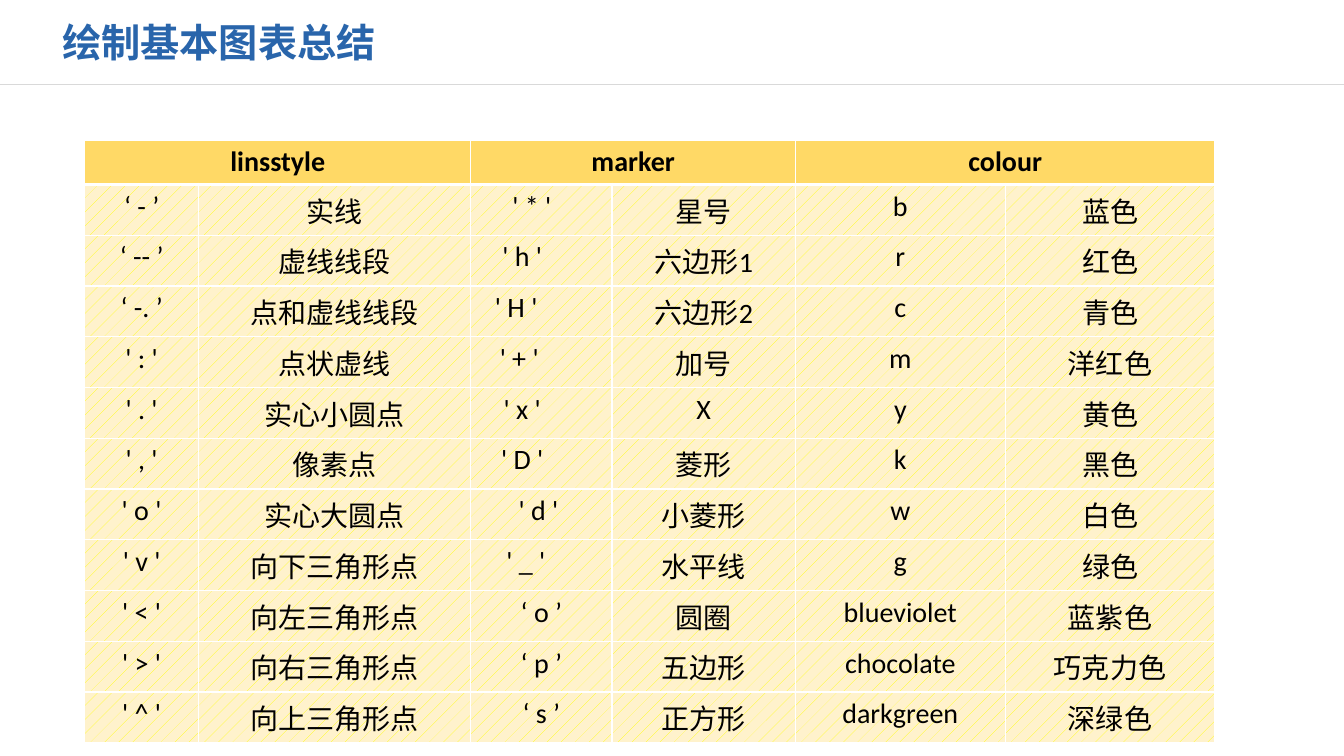
from dataclasses import dataclass

from lxml import etree
from pptx import Presentation
from pptx import util as u
from pptx.dml.color import RGBColor
from pptx.enum import dml, shapes, text
from pptx.oxml import ns


@dataclass(frozen=True)
class Theme:
    title: str = "2965AB"
    rule: str = "D9D9D9"
    ink: str = "000000"
    header: str = "FFD966"
    body: str = "FFF2CC"
    hatch: str = "FFFF00"
    border: str = "FFFFFF"
    title_size: int = 28
    cell_size: int = 20
    latin: str = "Calibri"
    chinese: str = "Noto Sans CJK SC"


THEME = Theme()
HEADERS = ["linsstyle", "marker", "colour"]
ROWS = [
    ["‘ - ’", "实线", "' * '", "星号", "b", "蓝色"],
    ["‘ -- ’", "虚线线段", "' h '", "六边形1", "r", "红色"],
    ["‘ -. ’", "点和虚线线段", "' H '", "六边形2", "c", "青色"],
    ["' : '", "点状虚线", "' + '", "加号", "m", "洋红色"],
    ["' . '", "实心小圆点", "' x '", "X", "y", "黄色"],
    ["' , '", "像素点", "' D '", "菱形", "k", "黑色"],
    ["' o '", "实心大圆点", "' d '", "小菱形", "w", "白色"],
    ["' v '", "向下三角形点", "' _ '", "水平线", "g", "绿色"],
    ["' < '", "向左三角形点", "‘ o ’", "圆圈", "blueviolet", "蓝紫色"],
    ["' > '", "向右三角形点", "‘ p ’", "五边形", "chocolate", "巧克力色"],
    ["' ^ '", "向上三角形点", "‘ s ’", "正方形", "darkgreen", "深绿色"],
]
COLUMN_WIDTHS = [1.13, 2.7, 1.4, 1.82, 2.08, 2.08]
HEADER_HEIGHT = 0.44
BODY_HEIGHT = 5.54
MARKER_COLUMN = 2
MARKER_INDENTS = [0.19, 0.38, 0.5, 0.44, 0.38, 0.38, 0.06, 0.31, 0, 0, 0]


def color(value):
    return RGBColor.from_string(value)


def style_paragraph(para, size, ink, latin, bold=False):
    for span in para.runs:
        span.font.size = u.Pt(size)
        span.font.bold = bold
        span.font.name = latin
        span.font.color.rgb = color(ink)
        east_asian = etree.Element(ns.qn("a:ea"), typeface=THEME.chinese)
        span.font._element.find(ns.qn("a:latin")).addnext(east_asian)


def add_title(page, wording):
    box = page.shapes.add_textbox(u.Inches(0.52), u.Inches(0.12), u.Inches(5.32), u.Inches(0.58))
    frame = box.text_frame
    frame.word_wrap = True
    frame.vertical_anchor = text.MSO_ANCHOR.MIDDLE
    frame.text = wording
    style_paragraph(frame.paragraphs[0], THEME.title_size, THEME.title, THEME.chinese, True)


def add_rule(page, width, top):
    rule = page.shapes.add_connector(shapes.MSO_CONNECTOR.STRAIGHT, 0, top, width, top)
    rule.line.color.rgb = color(THEME.rule)
    rule.line.width = u.Pt(1)
    etree.SubElement(rule._element.spPr, ns.qn("a:effectLst"))


def add_borders(cell, top, bottom):
    properties = cell._tc.get_or_add_tcPr()
    for side, width in (("L", 1), ("R", 1), ("T", top), ("B", bottom)):
        line = etree.SubElement(properties, ns.qn(f"a:ln{side}"), w=str(u.Pt(width)))
        fill = etree.SubElement(line, ns.qn("a:solidFill"))
        etree.SubElement(fill, ns.qn("a:srgbClr"), val=THEME.border)


def write_cell(cell, wording, bold=False):
    cell.text_frame.text = wording
    para = cell.text_frame.paragraphs[0]
    para.alignment = text.PP_ALIGN.CENTER
    style_paragraph(para, THEME.cell_size, THEME.ink, THEME.latin, bold)


def fill_header(table):
    for column in range(len(COLUMN_WIDTHS)):
        cell = table.cell(0, column)
        add_borders(cell, 1, 3)
        cell.fill.solid()
        cell.fill.fore_color.rgb = color(THEME.header)
    for index, wording in enumerate(HEADERS):
        cell = table.cell(0, 2 * index)
        cell.merge(table.cell(0, 2 * index + 1))
        write_cell(cell, wording, True)


def fill_body(table):
    for row, entries in enumerate(ROWS, 1):
        for column, wording in enumerate(entries):
            cell = table.cell(row, column)
            add_borders(cell, 3 if row == 1 else 1, 1)
            cell.fill.patterned()
            cell.fill.pattern = dml.MSO_PATTERN.PERCENT_5
            cell.fill.fore_color.rgb = color(THEME.hatch)
            cell.fill.back_color.rgb = color(THEME.body)
            write_cell(cell, wording)
        marker = table.cell(row, MARKER_COLUMN)
        marker.margin_right = u.Inches(0.1 + MARKER_INDENTS[row - 1])


def add_summary_table(page):
    frame = page.shapes.add_table(
        len(ROWS) + 1, len(COLUMN_WIDTHS), u.Inches(0.84), u.Inches(1.39),
        u.Inches(sum(COLUMN_WIDTHS)), u.Inches(HEADER_HEIGHT + BODY_HEIGHT),
    )
    table = frame.table
    table.horz_banding = False
    for column, width in zip(table.columns, COLUMN_WIDTHS):
        column.width = u.Inches(width)
    for row in table.rows:
        row.height = u.Inches(BODY_HEIGHT / len(ROWS))
    table.rows[0].height = u.Inches(HEADER_HEIGHT)
    fill_header(table)
    fill_body(table)


def main():
    deck = Presentation()
    deck.slide_width = u.Inches(13.33)
    deck.slide_height = u.Inches(7.5)
    page = deck.slides.add_slide(deck.slide_layouts[6])
    add_rule(page, deck.slide_width, u.Inches(0.84))
    add_title(page, "绘制基本图表总结")
    add_summary_table(page)
    deck.save("out.pptx")


if __name__ == "__main__":
    main()
